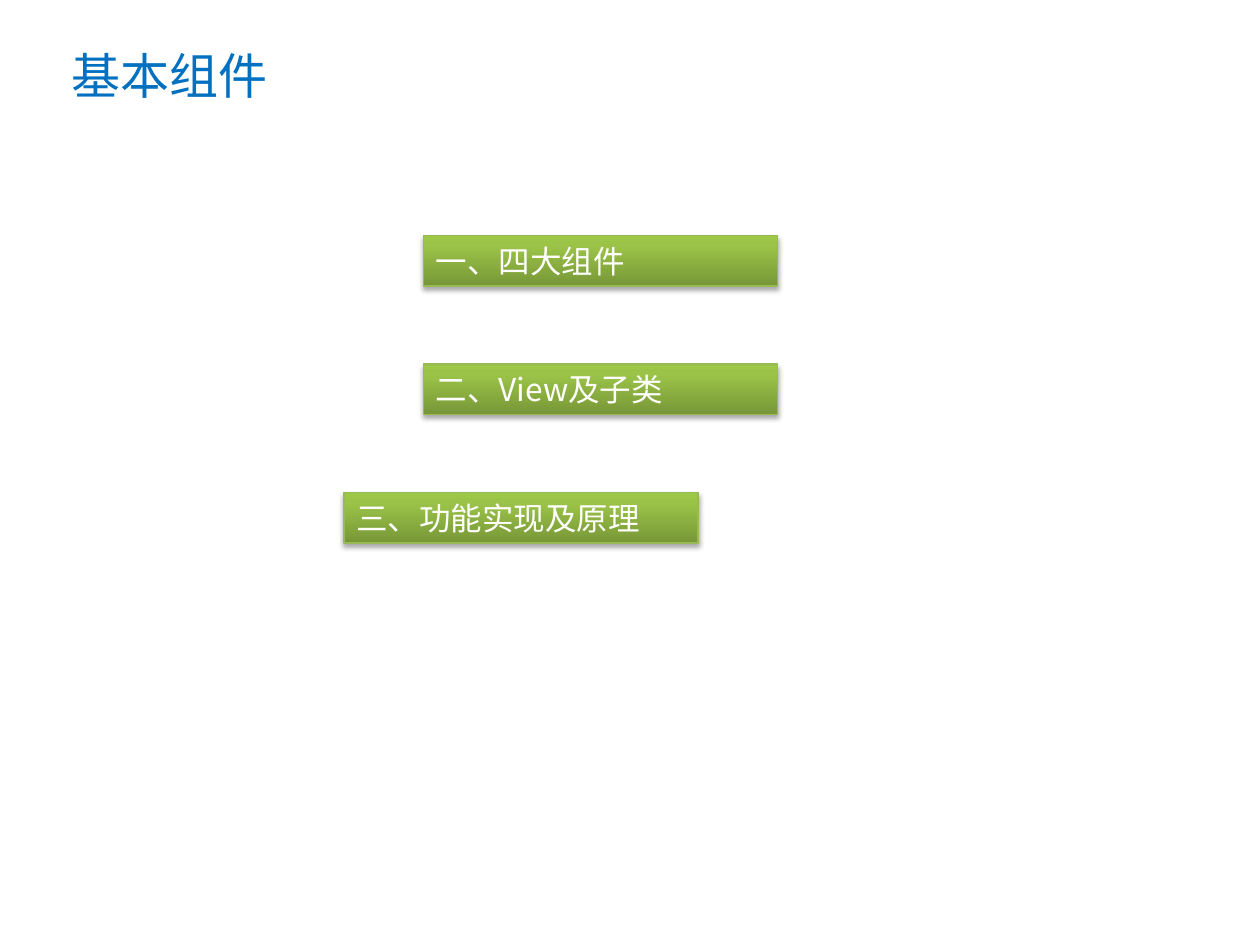
from lxml import etree
from pptx import Presentation
from pptx.dml.color import RGBColor
from pptx.enum.shapes import MSO_SHAPE
from pptx.enum.text import MSO_ANCHOR, MSO_AUTO_SIZE, PP_ALIGN
from pptx.oxml.ns import qn
from pptx.util import Inches, Pt

RECTANGLE = MSO_SHAPE.RECTANGLE
TOP = MSO_ANCHOR.TOP
LEFT = PP_ALIGN.LEFT
FIT_SHAPE = MSO_AUTO_SIZE.SHAPE_TO_FIT_TEXT
FONT = "Noto Sans CJK SC"
GRADIENT = [(0, "779737"), (80, "9BC348"), (100, "9DC746")]
BAR_WIDTH, BAR_HEIGHT = 2.81, 0.4
FIRST_TOP, ROW_PITCH = 1.87, 1.02
MAIN_LEFT, OUTER_LEFT = 3.36, 2.73
BARS = [
    ("一、四大组件", MAIN_LEFT),
    ("二、View及子类", MAIN_LEFT),
    ("三、功能实现及原理", OUTER_LEFT),
]


def color(value):
    """Turn a hex string into a colour."""
    return RGBColor.from_string(value)


def add_element(parent, tag, **attributes):
    """Append a drawing element with the given attributes."""
    values = {name: str(value) for name, value in attributes.items()}
    return etree.SubElement(parent, qn(tag), values)


def write_text(shape, text, size, hex_color, wrap):
    """Write one left-aligned run into a shape."""
    frame = shape.text_frame
    frame.word_wrap = wrap
    frame.auto_size = FIT_SHAPE
    frame.vertical_anchor = TOP
    paragraph = frame.paragraphs[0]
    paragraph.alignment = LEFT
    run = paragraph.add_run()
    run.text = text
    run.font.size = Pt(size)
    run.font.name = FONT
    run.font.color.rgb = color(hex_color)
    add_element(run.font._element, "a:ea", typeface=FONT)


def fill_gradient(shape):
    """Fill a shape with green that darkens towards the bottom."""
    shape.fill.gradient()
    shape.fill.gradient_angle = 90
    stops = shape._element.spPr.find(".//" + qn("a:gsLst"))
    for stop in list(stops):
        stops.remove(stop)
    for position, hex_color in GRADIENT:
        stop = add_element(stops, "a:gs", pos=position * 1000)
        add_element(stop, "a:srgbClr", val=hex_color)


def add_shadow(shape):
    """Give a shape a soft shadow below it."""
    shape.shadow.inherit = False
    effects = shape._element.spPr.find(qn("a:effectLst"))
    shadow = add_element(effects, "a:outerShdw", blurRad=Pt(3.1), dist=Pt(1.8),
                         dir=90 * 60000, rotWithShape=0)
    black = add_element(shadow, "a:srgbClr", val="000000")
    add_element(black, "a:alpha", val=35000)


def add_title(slide, text):
    """Add the slide title."""
    box = slide.shapes.add_textbox(Inches(0.47), Inches(0.31), Inches(1.77), Inches(0.57))
    write_text(box, text, 28, "0070C0", False)


def add_bar(slide, text, left, row):
    """Add a green topic bar on a row of the list."""
    top = FIRST_TOP + row * ROW_PITCH
    bar = slide.shapes.add_shape(RECTANGLE, Inches(left), Inches(top),
                                 Inches(BAR_WIDTH), Inches(BAR_HEIGHT))
    fill_gradient(bar)
    bar.line.color.rgb = color("98B955")
    bar.line.width = Pt(0.75)
    add_shadow(bar)
    write_text(bar, text, 18, "FFFFFF", True)


def main():
    """Build the slide and save it."""
    presentation = Presentation()
    presentation.slide_width = Inches(10)
    presentation.slide_height = Inches(7.5)
    slide = presentation.slides.add_slide(presentation.slide_layouts[6])
    add_title(slide, "基本组件")
    for row, (text, left) in enumerate(BARS):
        add_bar(slide, text, left, row)
    presentation.save("out.pptx")


if __name__ == "__main__":
    main()
